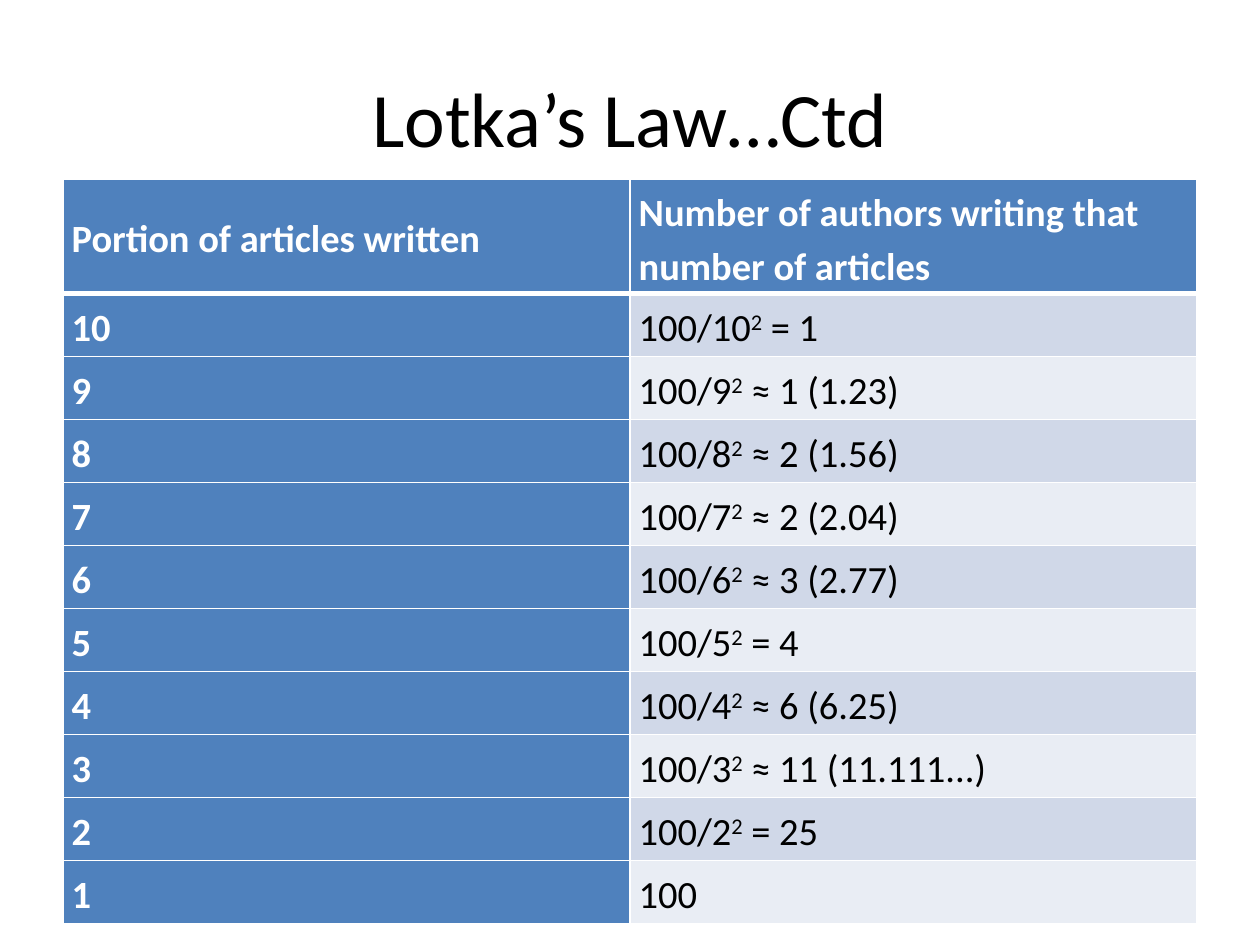
from dataclasses import dataclass

from lxml.etree import SubElement
from pptx import Presentation
from pptx.dml.color import RGBColor
from pptx.enum.text import MSO_ANCHOR, PP_ALIGN
from pptx.oxml.ns import qn
from pptx.util import Pt

FONT = "Calibri"
COLORS = {
    "blue": "4F81BD",
    "dark_band": "D0D8E8",
    "light_band": "E9EDF4",
    "white": "FFFFFF",
    "black": "000000",
}
HEADERS = ("Portion of articles written", "Number of authors writing that number of articles")
RESULTS = (
    "= 1",
    "≈ 1 (1.23)",
    "≈ 2 (1.56)",
    "≈ 2 (2.04)",
    "≈ 3 (2.77)",
    "= 4",
    "≈ 6 (6.25)",
    "≈ 11 (11.111...)",
    "= 25",
)
HEADER_HEIGHT = 65.5
ROW_HEIGHT = 36
COLUMN_WIDTH = 324


@dataclass(frozen=True)
class Span:
    text: str
    raised: bool = False


@dataclass(frozen=True)
class CellStyle:
    fill: str
    color: str
    bold: bool
    top: float = 1
    bottom: float = 1


def add_span(para, span: Span, size: float, color: str, bold: bool = False) -> None:
    run = para.add_run()
    run.text = span.text
    run.font.name = FONT
    run.font.size = Pt(size)
    run.font.bold = bold
    run.font.color.rgb = RGBColor.from_string(COLORS[color])
    if span.raised:
        run.font._element.set("baseline", "30000")


def add_border(cell, side: str, width: float) -> None:
    properties = cell._tc.get_or_add_tcPr()
    line = SubElement(properties, qn(f"a:ln{side}"), w=str(Pt(width)))
    fill = SubElement(line, qn("a:solidFill"))
    SubElement(fill, qn("a:srgbClr"), val=COLORS["white"])


def fill_cell(cell, spans: list[Span], style: CellStyle) -> None:
    for side, width in (("L", 1), ("R", 1), ("T", style.top), ("B", style.bottom)):
        add_border(cell, side, width)
    cell.fill.solid()
    cell.fill.fore_color.rgb = RGBColor.from_string(COLORS[style.fill])
    cell.vertical_anchor = MSO_ANCHOR.MIDDLE
    cell.margin_left = cell.margin_right = Pt(5)
    cell.margin_top = cell.margin_bottom = Pt(2.2)
    para = cell.text_frame.paragraphs[0]
    para.line_spacing = 1.15
    for span in spans:
        add_span(para, span, 22, style.color, style.bold)


def add_title(page, text: str) -> None:
    box = page.shapes.add_textbox(Pt(36), Pt(21.6), Pt(648), Pt(90))
    frame = box.text_frame
    frame.word_wrap = True
    frame.vertical_anchor = MSO_ANCHOR.MIDDLE
    para = frame.paragraphs[0]
    para.alignment = PP_ALIGN.CENTER
    add_span(para, Span(text), 44, "black")


def author_spans(articles: int, result: str) -> list[Span]:
    return [Span(f"100/{articles}"), Span("2", raised=True), Span(f" {result}")]


def add_law_table(page) -> None:
    rows = [
        (articles, author_spans(articles, result))
        for articles, result in zip(range(10, 1, -1), RESULTS)
    ]
    rows.append((1, [Span("100")]))
    height = HEADER_HEIGHT + ROW_HEIGHT * len(rows)
    table = page.shapes.add_table(
        len(rows) + 1, 2, Pt(36), Pt(102.2), Pt(2 * COLUMN_WIDTH), Pt(height)
    ).table
    for column in table.columns:
        column.width = Pt(COLUMN_WIDTH)
    for index, row in enumerate(table.rows):
        row.height = Pt(ROW_HEIGHT if index else HEADER_HEIGHT)

    for column, text in enumerate(HEADERS):
        fill_cell(table.cell(0, column), [Span(text)], CellStyle("blue", "white", True, bottom=3))
    for index, (articles, spans) in enumerate(rows, start=1):
        top = 3 if index == 1 else 1
        band = "dark_band" if index % 2 else "light_band"
        fill_cell(table.cell(index, 0), [Span(str(articles))], CellStyle("blue", "white", True, top))
        fill_cell(table.cell(index, 1), spans, CellStyle(band, "black", False, top))


def main() -> None:
    deck = Presentation()
    deck.slide_width, deck.slide_height = Pt(720), Pt(540)
    page = deck.slides.add_slide(deck.slide_layouts[6])
    add_title(page, "Lotka’s Law…Ctd")
    add_law_table(page)
    deck.save("out.pptx")


if __name__ == "__main__":
    main()
